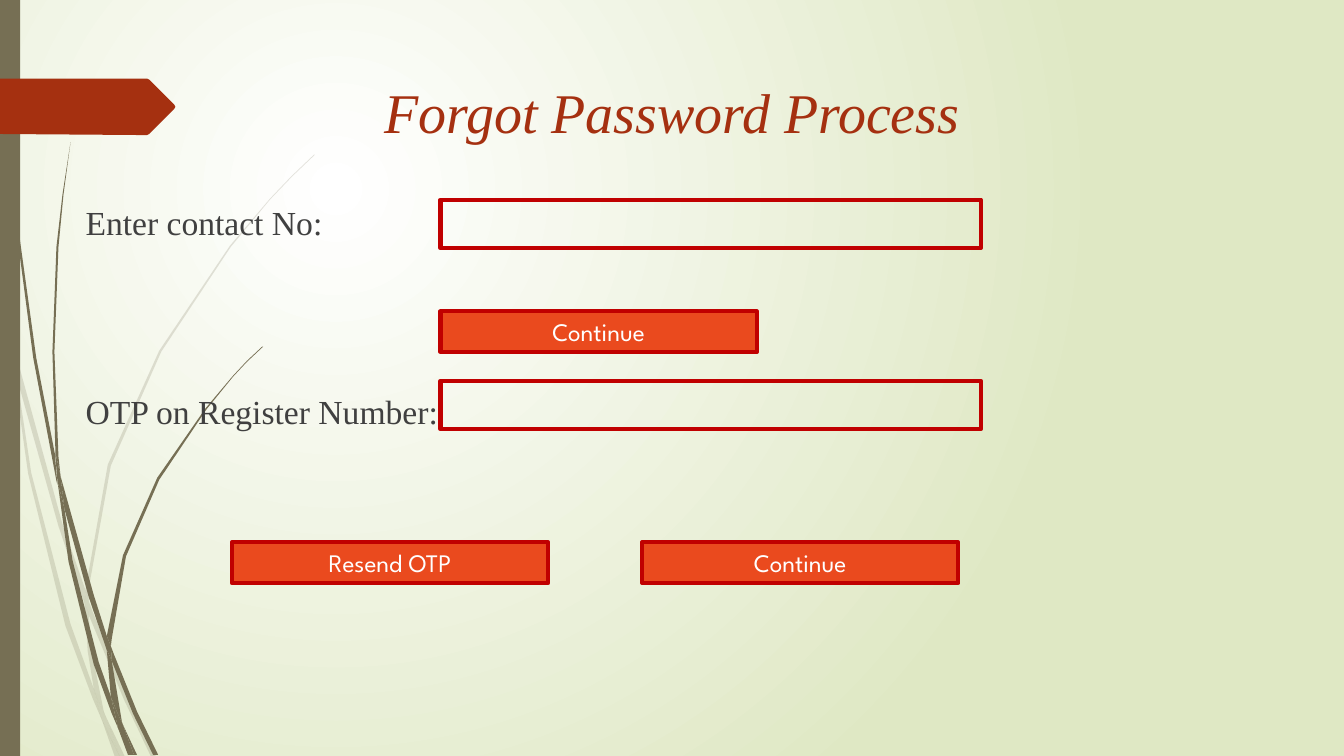
import pptx
import pptx.dml.color
import pptx.enum.shapes
import pptx.enum.text
import pptx.oxml
import pptx.oxml.ns
import pptx.util

Pt = pptx.util.Pt
RGB = pptx.dml.color.RGBColor
PP_ALIGN = pptx.enum.text.PP_ALIGN
ANCHOR = pptx.enum.text.MSO_ANCHOR
qn = pptx.oxml.ns.qn

WHITE = RGB(0xFF, 0xFF, 0xFF)
PALE_GREEN = RGB(0xDF, 0xE8, 0xC4)
OLIVE = RGB(0x76, 0x6F, 0x54)
RUST = RGB(0xA5, 0x30, 0x10)
DARK_GRAY = RGB(0x40, 0x40, 0x40)
RED = RGB(0xC0, 0x00, 0x00)
ORANGE = RGB(0xEA, 0x4A, 0x1E)
SERIF = "Times New Roman"
SANS = "League Spartan"
OUTLINE_UNIT = Pt(0.72)

FADED_STEMS = [
    [(11, 350), (9, 322), (0, 282), (0, 299), (10, 344)],
    [(58, 522), (84, 599), (85, 586), (62, 520), (14, 345), (17, 376)],
    [(92, 607), (88, 596), (88, 610), (123, 694), (150, 751), (155, 751), (127, 692)],
    [(119, 751), (124, 751), (105, 711)],
    [(93, 683), (70, 619), (31, 469), (17, 376), (11, 350), (28, 470), (65, 621),
     (92, 693), (101, 714), (99, 707)],
    [(84, 599), (87, 646), (93, 683), (96, 692), (105, 711), (103, 706), (91, 646),
     (88, 610), (88, 608)],
    [(88, 584), (110, 462), (160, 349), (229, 245), (268, 198), (290, 175), (312, 154),
     (312, 153), (289, 175), (268, 197), (228, 244), (158, 348), (107, 461), (85, 584),
     (85, 586), (88, 596)],
    [(101, 714), (114, 751), (119, 751)],
    [(88, 608), (88, 610), (88, 596), (85, 586), (84, 599)],
    [(96, 692), (93, 683), (99, 707), (101, 714), (119, 751), (105, 711)],
]
DARK_STEMS = [
    [(7, 110), (17, 233), (33, 355), (56, 477), (57, 481), (55, 457), (55, 453),
     (36, 355), (19, 232), (8, 109), (5, 48), (4, 0), (3, 0), (4, 48)],
    [(88, 592), (106, 645), (106, 633), (106, 631), (93, 590), (60, 472), (64, 505)],
    [(113, 649), (110, 641), (111, 656), (132, 708), (152, 749), (157, 749), (136, 706)],
    [(110, 691), (98, 657), (72, 556), (64, 505), (57, 477), (68, 557), (93, 659),
     (111, 708), (117, 722), (116, 717)],
    [(60, 472), (58, 453), (54, 349), (58, 245), (63, 193), (70, 141), (62, 193),
     (56, 245), (52, 349), (55, 449)],
    [(133, 749), (136, 749), (122, 719)],
    [(57, 477), (64, 505), (60, 472), (55, 449), (55, 453)],
    [(111, 633), (125, 552), (158, 476), (205, 406), (231, 374), (245, 359), (261, 344),
     (260, 344), (245, 358), (231, 373), (204, 405), (156, 474), (122, 551), (106, 631),
     (110, 641)],
    [(117, 722), (127, 749), (131, 749)],
    [(106, 645), (110, 691), (116, 706), (122, 719), (121, 716), (111, 656), (109, 651)],
    [(106, 645), (109, 651), (111, 656), (110, 641), (106, 631), (106, 633)],
    [(116, 706), (110, 691), (116, 717), (117, 722), (130, 749), (133, 749), (122, 719)],
]
TITLE_TAG = [(0, 78), (146, 78), (148, 79), (173, 104), (174, 106), (173, 108),
             (148, 133), (146, 134), (136, 134), (0, 133)]


class FormPage:
    """Holds the form's style and draws its elements on the current slide."""

    def __init__(self, deck):
        self.page = deck.slides.add_slide(deck.slide_layouts[6])

    def background(self, center, edge):
        fill = self.page.background.fill
        fill.gradient()
        for stop, color in zip(fill.gradient_stops, (center, edge)):
            stop.color.rgb = color
        linear = next(self.page.element.iter(qn("a:lin")))
        radial = pptx.oxml.parse_xml(
            f'<a:path {pptx.oxml.ns.nsdecls("a")} path="circle">'
            '<a:fillToRect l="50000" t="50000" r="100000" b="100000"/></a:path>')
        linear.getparent().replace(linear, radial)

    def paint(self, shape, fill=None, line=None):
        shape.shadow.inherit = False
        if fill is None:
            shape.fill.background()
        else:
            shape.fill.solid()
            shape.fill.fore_color.rgb = fill
        if line is None:
            shape.line.fill.background()
        else:
            shape.line.color.rgb = line
            shape.line.width = Pt(3)
        return shape

    def outline(self, shapes, points, color, opacity=100):
        builder = shapes.build_freeform(*points[0], scale=OUTLINE_UNIT)
        builder.add_line_segments(points[1:], close=True)
        shape = self.paint(builder.convert_to_shape(), color)
        if opacity < 100:
            tint = next(shape.element.spPr.iter(qn("a:srgbClr")))
            tint.append(pptx.oxml.parse_xml(
                f'<a:alpha {pptx.oxml.ns.nsdecls("a")} val="{opacity * 1000}"/>'))

    def stems(self, outlines, opacity):
        group = self.page.shapes.add_group_shape()
        for points in outlines:
            self.outline(group.shapes, points, OLIVE, opacity)

    def box(self, left, top, width, height, fill=None, line=None):
        shape = self.page.shapes.add_shape(
            pptx.enum.shapes.MSO_SHAPE.RECTANGLE, Pt(left), Pt(top), Pt(width), Pt(height))
        return self.paint(shape, fill, line)

    def add_span(self, para, text, font, size, color, align, italic=False):
        para.alignment = align
        span = para.add_run()
        span.text = text
        span.font.name = font
        span.font.size = Pt(size)
        span.font.color.rgb = color
        span.font.italic = italic

    def text_frame(self, left, top, width, height):
        frame = self.page.shapes.add_textbox(
            Pt(left), Pt(top), Pt(width), Pt(height)).text_frame
        frame.word_wrap = True
        return frame

    def title(self, text):
        frame = self.text_frame(66, 52, 828, 81)
        self.add_span(frame.paragraphs[0], text, SERIF, 40, RUST, PP_ALIGN.CENTER, True)

    def labels(self, texts, gap):
        frame = self.text_frame(54, 141, 840, 342)
        for index, text in enumerate(texts):
            para = frame.add_paragraph() if index else frame.paragraphs[0]
            para.space_before = Pt(gap if index else 0)
            self.add_span(para, text, SERIF, 24, DARK_GRAY, PP_ALIGN.LEFT)

    def field(self, top):
        self.box(314.6, top, 386, 34.6, line=RED)

    def button(self, left, top, text):
        frame = self.box(left, top, 226, 29, ORANGE, RED).text_frame
        frame.word_wrap = True
        frame.auto_size = pptx.enum.text.MSO_AUTO_SIZE.SHAPE_TO_FIT_TEXT
        frame.vertical_anchor = ANCHOR.MIDDLE
        self.add_span(frame.paragraphs[0], text, SANS, 18, WHITE, PP_ALIGN.CENTER)


deck = pptx.Presentation()
deck.slide_width, deck.slide_height = Pt(960), Pt(540)

form = FormPage(deck)
form.background(WHITE, PALE_GREEN)
form.stems(FADED_STEMS, 20)
form.stems(DARK_STEMS, 100)
form.box(0, 0, 14.4, 540, OLIVE)
form.outline(form.page.shapes, TITLE_TAG, RUST)
form.title("Forgot Password Process")
form.labels(["Enter contact No:", "OTP on Register Number:"], 106)
for field_top in (142.6, 272):
    form.field(field_top)
for button_left, button_top, caption in (
        (314.6, 222.4, "Continue"), (165.6, 387.4, "Resend OTP"), (458.6, 387.4, "Continue")):
    form.button(button_left, button_top, caption)

deck.save("out.pptx")
